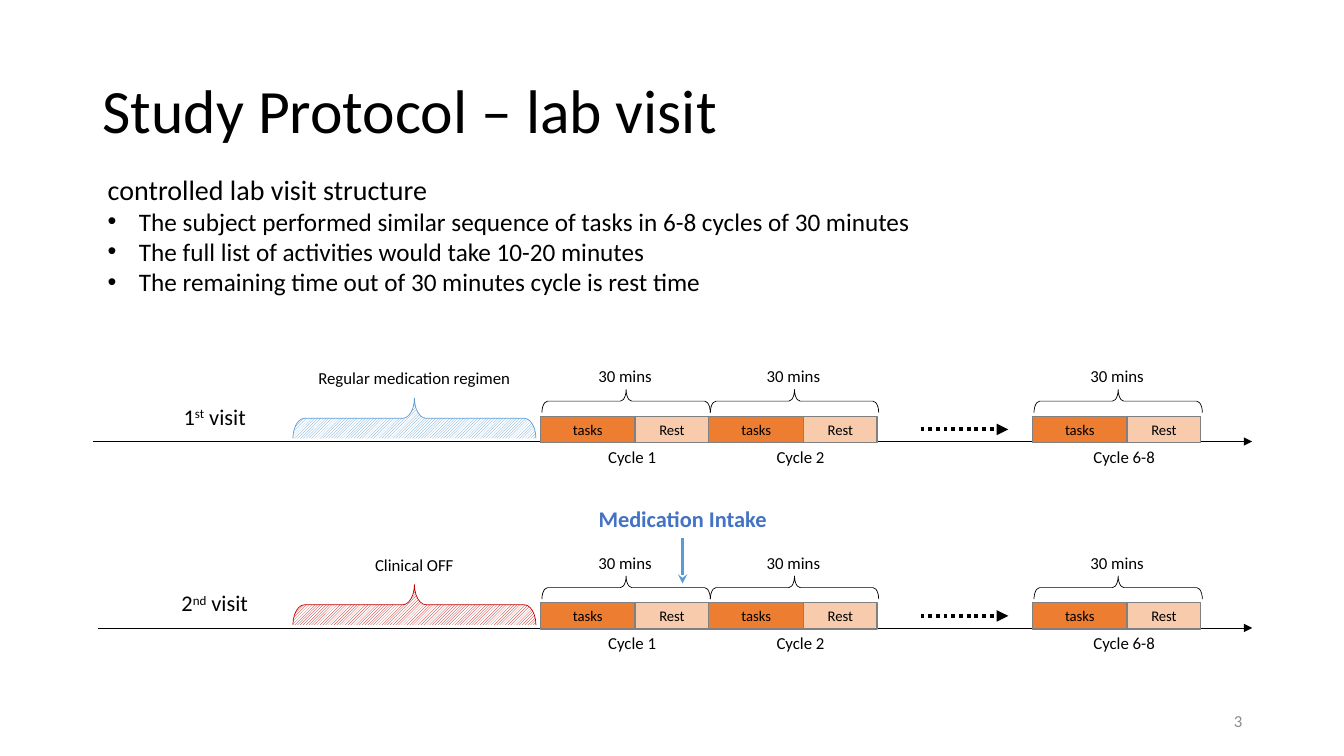
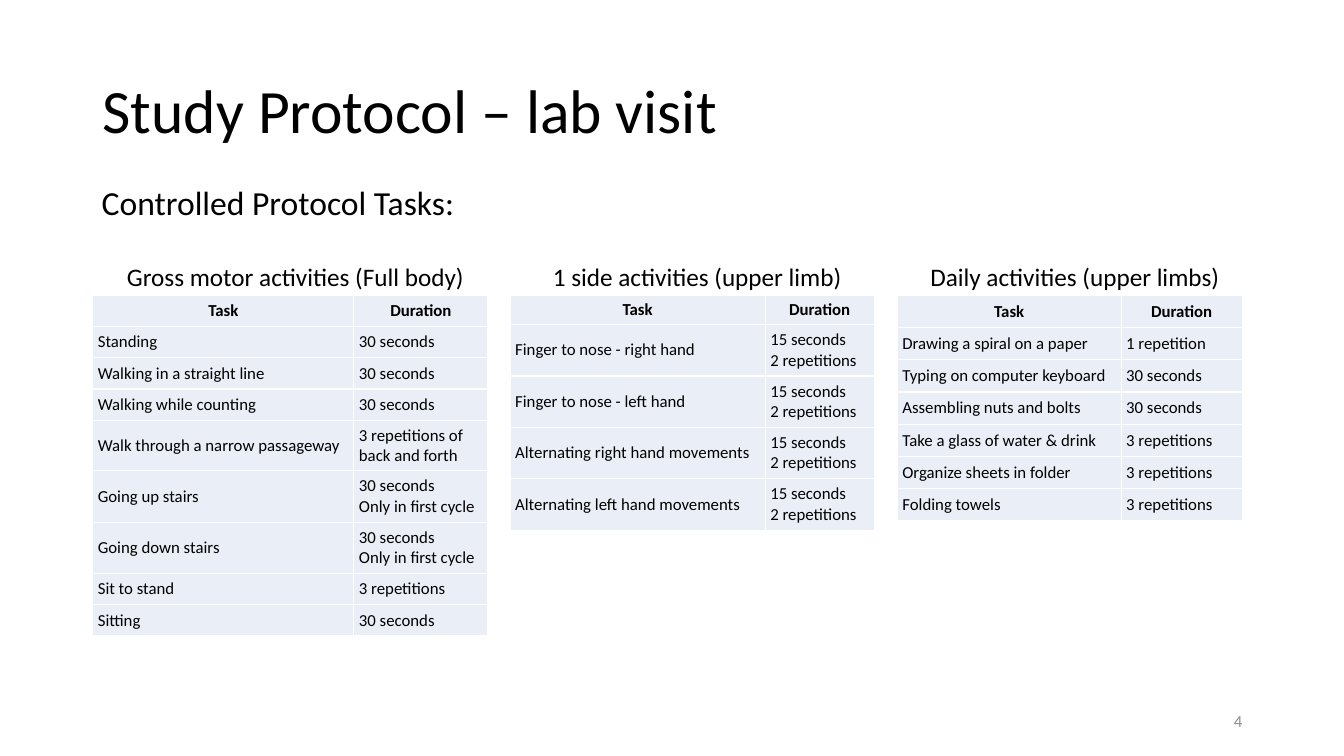
from pptx import Presentation
from pptx.dml.color import RGBColor
from pptx.enum.dml import MSO_LINE, MSO_PATTERN
from pptx.enum.shapes import MSO_CONNECTOR, MSO_SHAPE
from pptx.enum.text import MSO_ANCHOR, PP_ALIGN
from pptx.oxml import parse_xml
from pptx.oxml.ns import nsdecls
from pptx.util import Inches, Pt

LEFT, MID, RIGHT = PP_ALIGN.LEFT, PP_ALIGN.CENTER, PP_ALIGN.RIGHT
TOP, CENTER = MSO_ANCHOR.TOP, MSO_ANCHOR.MIDDLE
RECT, BRACE = MSO_SHAPE.RECTANGLE, MSO_SHAPE.LEFT_BRACE
STRAIGHT, DOTS = MSO_CONNECTOR.STRAIGHT, MSO_LINE.ROUND_DOT
HATCH = MSO_PATTERN.LIGHT_UPWARD_DIAGONAL

FONT = "Calibri"
BLACK, WHITE, GREY, EDGE = "000000", "FFFFFF", "8C8C8C", "808080"
ORANGE, PEACH, PALE = "ED7D31", "F8CBAD", "EAEFF7"
BLUE, ROYAL, RED = "5B9BD5", "4472C4", "C00000"

TITLE = "Study Protocol – lab visit"
BULLETS = """The subject performed similar sequence of tasks in 6-8 cycles of 30 minutes
The full list of activities would take 10-20 minutes
The remaining time out of 30 minutes cycle is rest time"""
CYCLES = [(5.36, "Cycle 1"), (7.03, "Cycle 2"), (10.24, "Cycle 6-8")]
# axis start, axis height, visit, state before the cycles, colour
VISITS = [
    (0.92, 4.38, "1^st^ visit", "Regular medication regimen", BLUE),
    (0.97, 6.23, "2^nd^ visit", "Clinical OFF", RED),
]
STAIRS = "30 seconds\nOnly in first cycle"
TWICE = "15 seconds\n2 repetitions"
# left, column widths, height of a one-line row, caption, tasks
TABLES = [
    (0.92, (2.59, 1.33), 0.31, "Gross motor activities (Full body)", [
        ("Standing", "30 seconds"),
        ("Walking in a straight line", "30 seconds"),
        ("Walking while counting", "30 seconds"),
        ("Walk through a narrow passageway", "3 repetitions of back and forth"),
        ("Going up stairs", STAIRS),
        ("Going down stairs", STAIRS),
        ("Sit to stand", "3 repetitions"),
        ("Sitting", "30 seconds"),
    ]),
    (5.06, (2.53, 1.08), 0.29, "1 side activities (upper limb)", [
        ("Finger to nose - right hand", TWICE),
        ("Finger to nose - left hand", TWICE),
        ("Alternating right hand movements", TWICE),
        ("Alternating left hand movements", TWICE),
    ]),
    (8.9, (2.22, 1.2), 0.32, "Daily activities (upper limbs)", [
        ("Drawing a spiral on a paper", "1 repetition"),
        ("Typing on computer keyboard", "30 seconds"),
        ("Assembling nuts and bolts", "30 seconds"),
        ("Take a glass of water & drink", "3 repetitions"),
        ("Organize sheets in folder", "3 repetitions"),
        ("Folding towels", "3 repetitions"),
    ]),
]


def rgb(code):
    """Turn a hex string into a colour."""
    return RGBColor.from_string(code)


def write(frame, text, size=12, color=BLACK, bold=False, align=LEFT,
          space=None, bullet=False):
    """Add lines to a text frame; ^marks^ enclose raised text."""
    for line in text.split("\n"):
        para = frame.add_paragraph() if frame.text else frame.paragraphs[0]
        para.alignment = align
        if space:
            para.line_spacing = space
        if bullet:
            props = para._p.get_or_add_pPr()
            props.set("marL", str(Inches(0.31)))
            props.set("indent", str(-Inches(0.31)))
            props.append(parse_xml(
                f'<a:buFont {nsdecls("a")} typeface="Arial"/>'))
            props.append(parse_xml(f'<a:buChar {nsdecls("a")} char="•"/>'))
        for i, part in enumerate(line.split("^")):
            run = para.add_run()
            run.text = part
            font = run.font
            font.name, font.size, font.bold = FONT, Pt(size), bold
            font.color.rgb = rgb(color)
            if i % 2:
                run._r.get_or_add_rPr().set("baseline", "30000")


def box(shapes, text, x, y, w, h, wrap=True, anchor=TOP, **fmt):
    """Add a text box and return its frame."""
    frame = shapes.add_textbox(
        Inches(x), Inches(y), Inches(w), Inches(h)).text_frame
    frame.word_wrap = wrap
    frame.vertical_anchor = anchor
    write(frame, text, **fmt)
    return frame


def label(shapes, text, mid, y, w=1, **fmt):
    """Add a one-line text centred on mid."""
    box(shapes, text, mid - w / 2, y, w, 0.3, wrap=False, align=MID, **fmt)


def form(shapes, kind, x, y, w, h, edge, width):
    """Add a preset shape with an outline and no shadow."""
    item = shapes.add_shape(kind, Inches(x), Inches(y), Inches(w), Inches(h))
    item.shadow.inherit = False
    item.line.color.rgb = rgb(edge)
    item.line.width = Pt(width)
    return item


def block(shapes, text, x, y, w, fill):
    """Add one labelled part of a cycle."""
    item = form(shapes, RECT, x, y, w, 0.26, EDGE, 1)
    item.fill.solid()
    item.fill.fore_color.rgb = rgb(fill)
    item.text_frame.vertical_anchor = CENTER
    write(item.text_frame, text, size=10.5, align=MID)


def brace(shapes, x, y, span, depth, curve, color=BLACK, hatch=False):
    """Add an upward brace centred on x, y."""
    item = form(shapes, BRACE, x - depth / 2, y - span / 2, depth, span,
                color, 0.5)
    item.rotation = 90
    item.adjustments[0] = curve
    if hatch:
        item.fill.patterned()
        item.fill.pattern = HATCH
        item.fill.fore_color.rgb = rgb(color)
        item.fill.back_color.rgb = rgb(WHITE)
    else:
        item.fill.background()


def arrow(shapes, x1, y1, x2, y2, width, color=BLACK, tip="triangle", dash=None):
    """Add a straight arrow."""
    item = shapes.add_connector(
        STRAIGHT, Inches(x1), Inches(y1), Inches(x2), Inches(y2))
    item.line.color.rgb = rgb(color)
    item.line.width = Pt(width)
    if dash:
        item.line.dash_style = dash
    item.line._get_or_add_ln().append(
        parse_xml(f'<a:tailEnd {nsdecls("a")} type="{tip}"/>'))
    item._element.spPr.append(parse_xml(f'<a:effectLst {nsdecls("a")}/>'))


def cycle(slide, x, y, name):
    """Group the parts of one cycle that stands on the axis at y."""
    shapes = slide.shapes.add_group_shape().shapes
    block(shapes, "tasks", x, y - 0.25, 0.94, ORANGE)
    block(shapes, "Rest", x + 0.94, y - 0.25, 0.73, PEACH)
    brace(shapes, x + 0.85, y - 0.4, 1.67, 0.23, 0.245)
    label(shapes, "30 mins", x + 0.84, y - 0.8)
    label(shapes, name, x + 0.91, y)


def visit(slide, start, y, name, state, color):
    """Draw the time line of one visit."""
    shapes = slide.shapes
    arrow(shapes, start, y, 12.42, y, 0.5)
    for x, text in CYCLES:
        cycle(slide, x, y, text)
    arrow(shapes, 9.13, y - 0.12, 10, y - 0.12, 2.75, dash=DOTS)
    brace(shapes, 4.11, y - 0.23, 2.41, 0.4, 0.29, color, hatch=True)
    label(shapes, state, 4.11, y - 0.78, 2.13)
    label(shapes, name, 2.13, y - 0.43, size=16)


def fill_cell(cell, text, head):
    """Format and fill one table cell."""
    pad = Inches(0 if head else 0.05)
    cell.margin_left = cell.margin_right = pad
    cell.margin_top = cell.margin_bottom = pad
    cell.vertical_anchor = CENTER
    props = cell._tc.get_or_add_tcPr()
    for side in "LRTB":
        props.append(parse_xml(
            f'<a:ln{side} {nsdecls("a")} w="{Pt(1)}"><a:solidFill>'
            f'<a:srgbClr val="{WHITE}"/></a:solidFill></a:ln{side}>'))
    cell.fill.solid()
    cell.fill.fore_color.rgb = rgb(PALE)
    write(cell.text_frame, text, bold=head, align=MID if head else LEFT)


def grid(slide, x, widths, high, caption, tasks):
    """Add a captioned table of tasks."""
    total = sum(widths)
    label(slide.shapes, caption, x + total / 2 + 0.05, 2.54, total, size=18)
    rows = [("Task", "Duration"), *tasks]
    table = slide.shapes.add_table(
        len(rows), 2, Inches(x), Inches(2.93), Inches(total),
        Inches(high * len(rows))).table
    table.first_row = table.horz_banding = False
    for col, width in zip(table.columns, widths):
        col.width = Inches(width)
    for r, row in enumerate(rows):
        table.rows[r].height = Inches(0.51 if "\n" in row[1] else high)
        for c, text in enumerate(row):
            fill_cell(table.cell(r, c), text, r == 0)


def page(deck, number):
    """Add a slide with the shared title and page number."""
    slide = deck.slides.add_slide(deck.slide_layouts[6])
    box(slide.shapes, TITLE, 0.92, 0.4, 11.5, 1.45, anchor=CENTER,
        size=44, space=0.9)
    box(slide.shapes, str(number), 9.42, 6.95, 3, 0.4, anchor=CENTER,
        color=GREY, align=RIGHT)
    return slide


def main():
    """Build the deck."""
    deck = Presentation()
    deck.slide_width, deck.slide_height = Inches(13.33), Inches(7.5)

    slide = page(deck, 3)
    frame = box(slide.shapes, "controlled lab visit structure",
                0.97, 1.66, 9.28, 1.35, size=20)
    write(frame, BULLETS, size=18, bullet=True)
    for row in VISITS:
        visit(slide, *row)
    arrow(slide.shapes, 6.77, 5.34, 6.77, 5.79, 2.25, BLUE, "stealth")
    label(slide.shapes, "Medication Intake", 6.77, 4.96, 1.89, size=16,
          color=ROYAL, bold=True)

    slide = page(deck, 4)
    box(slide.shapes, "Controlled Protocol Tasks:", 0.91, 1.76, 9.28, 0.5,
        size=24)
    for row in TABLES:
        grid(slide, *row)

    deck.save("out.pptx")


main()
